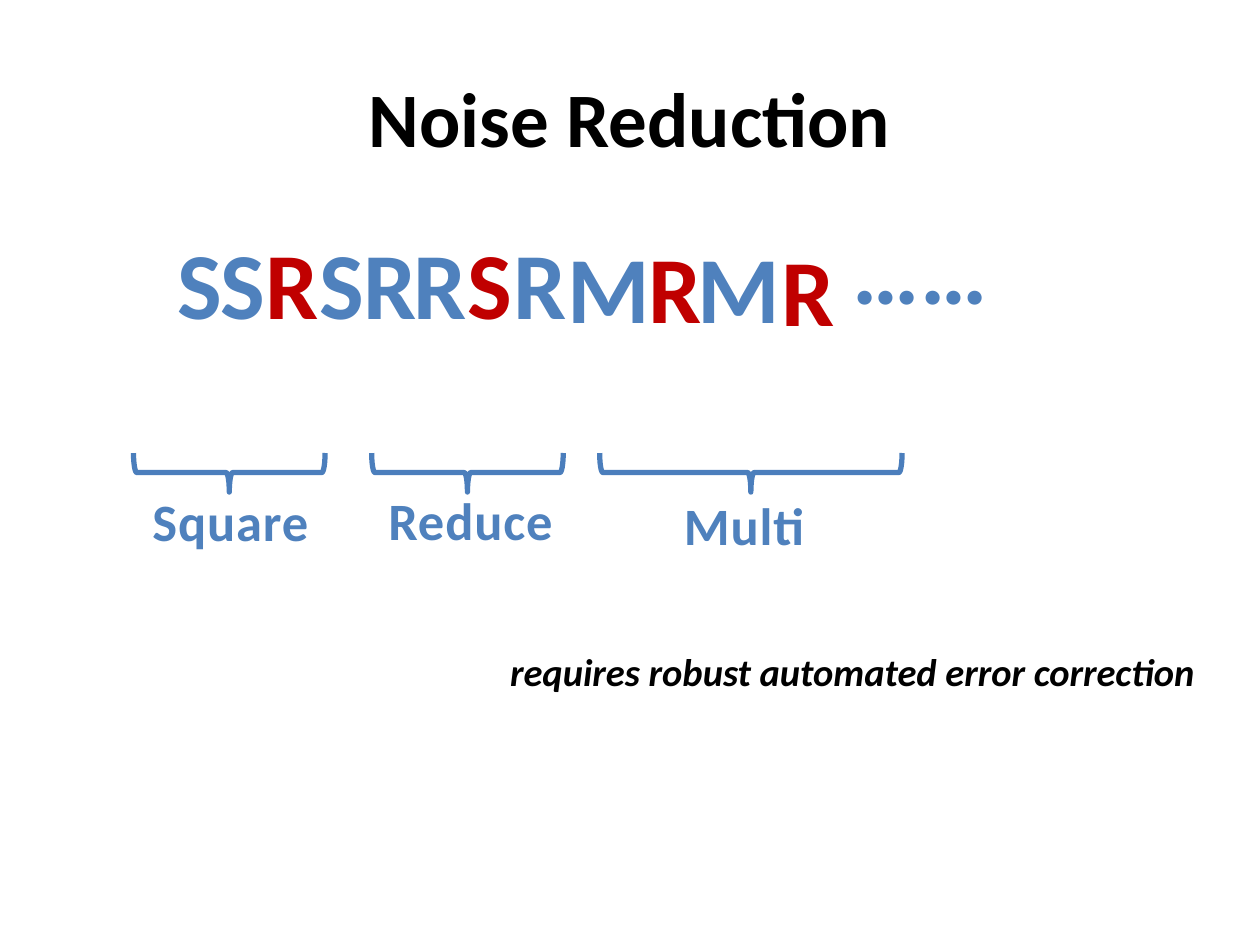
from pptx import Presentation
from pptx.dml.color import RGBColor
from pptx.enum.shapes import MSO_SHAPE
from pptx.enum.text import MSO_ANCHOR, MSO_AUTO_SIZE, PP_ALIGN
from pptx.util import Inches, Pt

BRACE = MSO_SHAPE.LEFT_BRACE
MIDDLE, TOP = MSO_ANCHOR.MIDDLE, MSO_ANCHOR.TOP
CENTER, LEFT = PP_ALIGN.CENTER, PP_ALIGN.LEFT
GROW = MSO_AUTO_SIZE.SHAPE_TO_FIT_TEXT

COLORS = {"black": "000000", "signal": "4F81BD", "noise": "C00000", "brace": "4B7EBC"}

# Content
TITLE = "Noise Reduction"
NOTE = "requires robust automated error correction"
# Observed letters, back to front: text, left, top, kind
SQUARE_AND_REDUCE_LETTERS = [
    ("S", 1.3, 1.74, "signal"), ("S", 1.64, 1.74, "signal"),
    ("S", 2.43, 1.74, "signal"), ("R", 2.0, 1.74, "noise"),
    ("R", 3.97, 1.74, "signal"), ("S", 3.6, 1.74, "noise"),
    ("R", 3.18, 1.74, "signal"), ("R", 2.78, 1.74, "signal"),
]
MULTI_LETTERS = [
    ("M", 5.43, 1.77, "signal"), ("R", 5.04, 1.77, "noise"),
    ("M", 4.4, 1.77, "signal"), ("……", 6.66, 1.62, "signal"),
    ("R", 6.1, 1.79, "noise"),
]
LETTER_WIDTHS = {"S": 0.57, "R": 0.63, "M": 0.87, "……": 1.29}
# Corrected gestures: name, label box (left, top, width), brace centre, brace span
GESTURES = [
    ("Square", (1.1, 3.83, 1.46), 1.82, 1.52),
    ("Reduce", (2.97, 3.82, 1.53), 3.71, 1.52),
    ("Multi", (5.32, 3.86, 1.18), 5.96, 2.4),
]
BRACE_MIDDLE, BRACE_DEPTH = 3.75, 0.31


def add_text(slide, text, left, top, width, height, size, color,
             align=CENTER, anchor=TOP, wrap=True, grow=True, italic=False, spacing=0):
    box = slide.shapes.add_textbox(Inches(left), Inches(top), Inches(width), Inches(height))
    frame = box.text_frame
    frame.word_wrap = wrap
    frame.vertical_anchor = anchor
    if grow:
        frame.auto_size = GROW
    paragraph = frame.paragraphs[0]
    paragraph.alignment = align
    run = paragraph.add_run()
    run.text = text
    run.font.name = "Calibri"
    run.font.size = Pt(size)
    run.font.bold = True
    run.font.italic = italic
    run.font.color.rgb = RGBColor.from_string(COLORS[color])
    if spacing:
        run.font._element.set("spc", str(spacing))  # hundredths of a point


def add_letters(slide, letters):
    for letter, left, top, kind in letters:
        add_text(slide, letter, left, top, LETTER_WIDTHS[letter], 1.01, 54, kind,
                 wrap=False, spacing=50)


def add_brace(slide, center, span):
    # A left brace turned a quarter anticlockwise points down
    brace = slide.shapes.add_shape(
        BRACE, Inches(center - BRACE_DEPTH / 2), Inches(BRACE_MIDDLE - span / 2),
        Inches(BRACE_DEPTH), Inches(span))
    brace.rotation = 270
    brace.shadow.inherit = False
    brace.fill.background()
    brace.line.color.rgb = RGBColor.from_string(COLORS["brace"])
    brace.line.width = Pt(3)


def main():
    prs = Presentation()
    prs.slide_width, prs.slide_height = Inches(10), Inches(7.5)
    slide = prs.slides.add_slide(prs.slide_layouts[6])

    # Title
    add_text(slide, TITLE, 0.5, 0.3, 9, 1.25, 44, "black", anchor=MIDDLE, grow=False)

    # Letters of the first two gestures
    add_letters(slide, SQUARE_AND_REDUCE_LETTERS)

    # Braces, then gesture names
    for _, _, center, span in GESTURES:
        add_brace(slide, center, span)
    for name, (left, top, width), _, _ in GESTURES:
        add_text(slide, name, left, top, width, 0.61, 30, "signal", wrap=False, spacing=50)

    # Letters of the last gesture and the continuation
    add_letters(slide, MULTI_LETTERS)

    # Closing remark
    add_text(slide, NOTE, 3.95, 5.09, 5.85, 0.47, 22, "black", align=LEFT, italic=True)

    prs.save("out.pptx")


if __name__ == "__main__":
    main()
